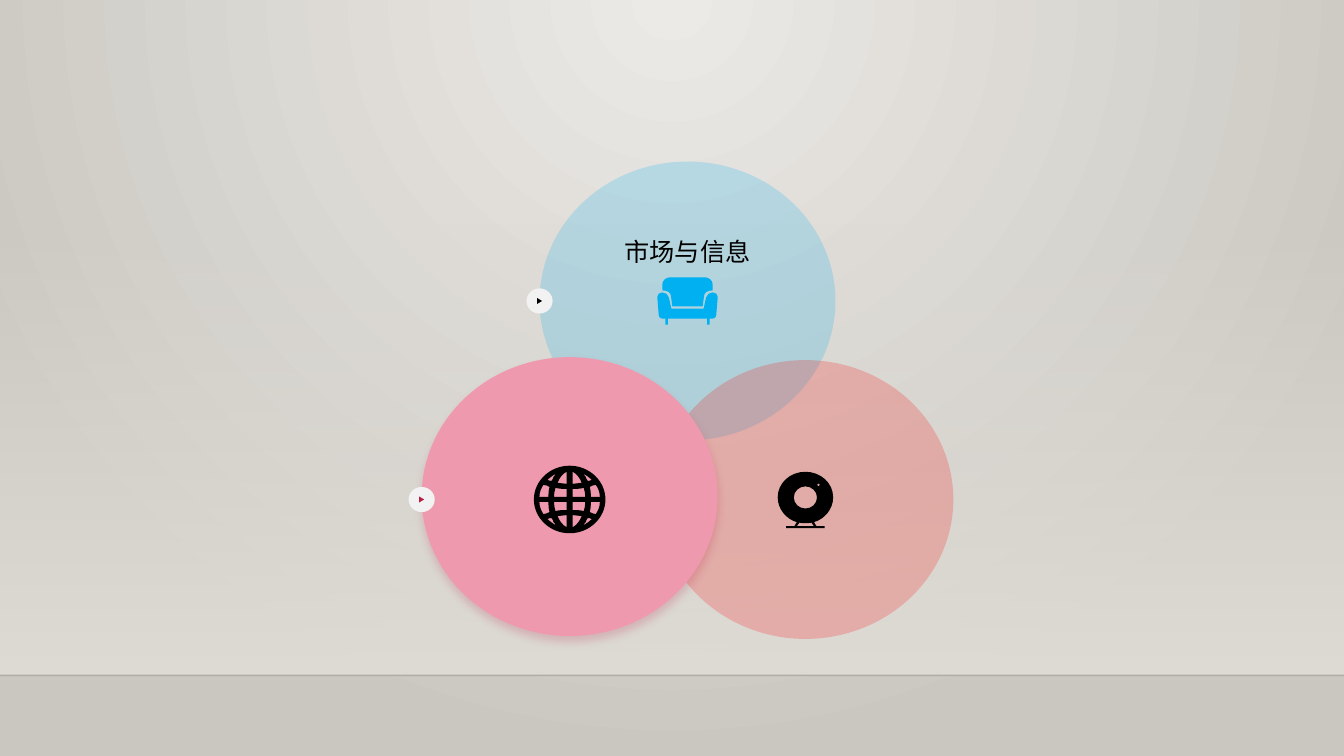
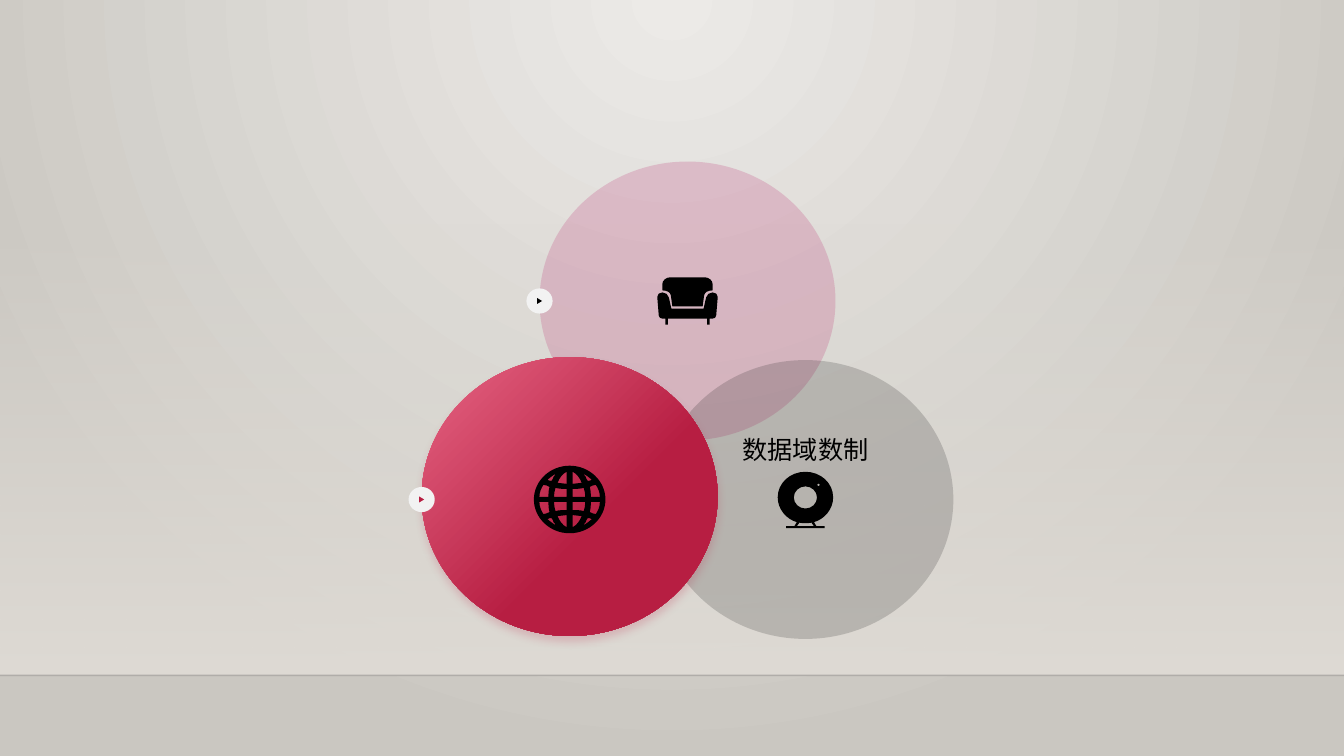
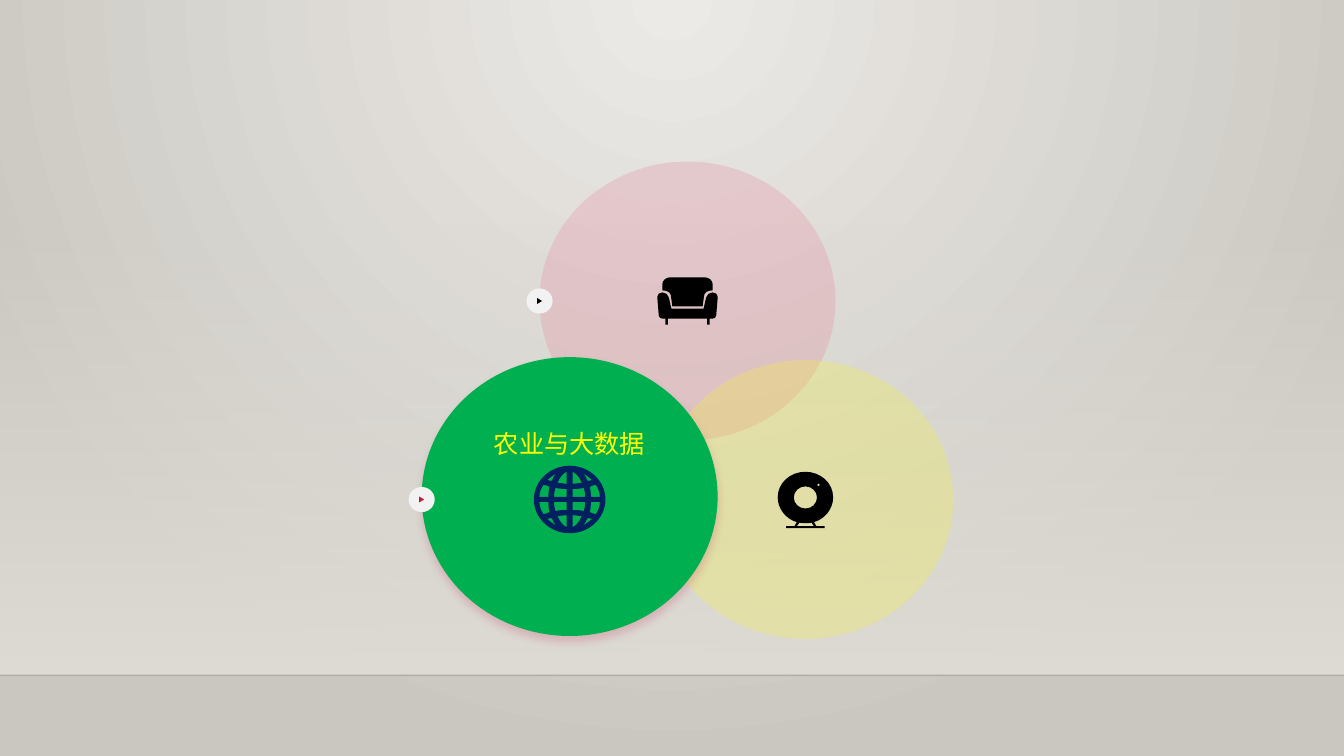
from dataclasses import dataclass

from pptx import Presentation
from pptx.dml.color import RGBColor
from pptx.enum.shapes import MSO_CONNECTOR as Connector, MSO_SHAPE as Preset
from pptx.enum.text import MSO_AUTO_SIZE as AutoSize, PP_ALIGN as Align
from pptx.oxml import parse_xml
from pptx.oxml.ns import nsdecls
from pptx.util import Pt


@dataclass(frozen=True)
class Theme:
    font: str = "Lato"
    label_size: float = 18
    glow: str = "ECEAE7"
    wall: str = "CAC7C1"
    floor: str = "DFDBD5"
    edge: str = "000001"
    ink: str = "000000"
    crimson: str = "B71E42"
    rose: str = "E66684"
    pale_rose: str = "EE99AD"
    magenta: str = "BA2169"
    red: str = "FF0000"
    sky: str = "00B0F0"
    charcoal: str = "262626"
    yellow: str = "FFFF00"
    green: str = "00B050"
    navy: str = "002060"
    marker: str = "F2F2F2"
    veil: int = 20  # opacity in percent


@dataclass(frozen=True)
class Circle:
    fill: object  # a colour, or the stops of a gradient
    icon: str = Theme.ink


@dataclass(frozen=True)
class Label:
    text: str
    over: str
    lift: float  # from circle centre up to the top of the label
    width: float
    color: str = Theme.ink


THEME = Theme()
SLIDE_W, SLIDE_H = 960, 540
HORIZON, FLOOR_TOP = 482.4, 159.1

# Diagram box and circle positions inside it
VENN_LEFT, VENN_TOP = 301.2, 115.4
CIRCLE_W, CIRCLE_H = 211.4, 199.2
ROW_STEP, RAISE = 141.8, 2.1
HOMES = {"top": (84.2, 0), "right": (168.4, ROW_STEP), "left": (0, ROW_STEP)}
MARKER_W, MARKER_H = 18.7, 18
ARROW_W, ARROW_H = 4.3, 3.6
LABEL_H = 29

# Icons are drawn on a grid of this pitch, around their centre
ICON_PITCH = 0.72
SUBSTEPS = 10
ROUND = 0.55  # handle length of a quarter ellipse


# ---- Fills and effects ----
def gradient_xml(stops, direction):
    marks = "".join(
        f'<a:gs pos="{at * 1000}"><a:srgbClr val="{color}">'
        f'<a:alpha val="{alpha * 1000}"/></a:srgbClr></a:gs>'
        for at, color, alpha in stops)
    return parse_xml(f'<a:gradFill {nsdecls("a")} rotWithShape="1">'
                     f'<a:gsLst>{marks}</a:gsLst>{direction}</a:gradFill>')


def fill_gradient(fill, owner, stops, direction):
    fill.gradient()
    plain = owner.xpath(".//a:gradFill")[0]
    plain.getparent().replace(plain, gradient_xml(stops, direction))


def linear(angle):
    return f'<a:lin ang="{angle * 60000}" scaled="0"/>'


def set_alpha(color_owner, percent):
    color_owner.xpath(".//a:srgbClr")[0].append(
        parse_xml(f'<a:alpha {nsdecls("a")} val="{percent * 1000}"/>'))


def paint(shape, fill):
    shape.shadow.inherit = False
    shape.line.fill.background()
    if isinstance(fill, str):
        shape.fill.solid()
        shape.fill.fore_color.rgb = RGBColor.from_string(fill)
    else:
        fill_gradient(shape.fill, shape.element, fill, linear(45))


def cast_shadow(shape):
    effects = shape.element.xpath("./p:spPr/a:effectLst")[0]
    effects.append(parse_xml(
        f'<a:outerShdw {nsdecls("a")} blurRad="{Pt(6)}" dist="{Pt(4)}" '
        f'dir="5400000" algn="t" rotWithShape="0"><a:srgbClr val="{THEME.crimson}">'
        f'<a:alpha val="{THEME.veil * 1000}"/></a:srgbClr></a:outerShdw>'))


def add_centred(shapes, preset, center, width, height, fill):
    x, y = center
    shape = shapes.add_shape(preset, Pt(x - width / 2), Pt(y - height / 2),
                             Pt(width), Pt(height))
    paint(shape, fill)
    return shape


# ---- Icon outlines: steps (x, y) are corners, six numbers are a Bezier curve ----
def flip(steps, sx, sy=1):
    return [tuple(v * (sy if i % 2 else sx) for i, v in enumerate(step)) for step in steps]


def backwards(steps):
    """The same outline walked from its end, without the end point itself."""
    walk = []
    for before, step in zip(steps[-2::-1], steps[:0:-1]):
        handles = (*step[2:4], *step[:2]) if len(step) == 6 else ()
        walk.append((*handles, *before[-2:]))
    return walk


def symmetric(half):
    """Close a right half, which starts and ends on the axis, with its mirror."""
    return half + backwards(flip(half, -1))


def oval(x, y, rx, ry):
    kx, ky = rx * ROUND, ry * ROUND
    return [(x, y - ry),
            (x + kx, y - ry, x + rx, y - ky, x + rx, y),
            (x + rx, y + ky, x + kx, y + ry, x, y + ry),
            (x - kx, y + ry, x - rx, y + ky, x - rx, y),
            (x - rx, y - ky, x - kx, y - ry, x, y - ry)]


def sofa_outline():
    seat = [(0, 7.5), (16, 7.5), (18.5, -3.5), (19, -6.5, 22, -8.5, 25, -8.5),
            (28, -8.5, 30, -6.5, 30, -4), (28.5, 14.5), (28, 16.5, 27, 17.5, 25, 17.5),
            (22, 17.5), (22, 23.5), (19.5, 23.5), (19.5, 17.5), (0, 17.5)]
    back = [(0, -23.5), (17, -23.5), (21, -23.5, 25, -20.5, 25, -16.5), (25, -10.5),
            (20, -10.5, 17, -8.5, 16.5, -5.5), (15, 5.5), (0, 5.5)]
    return [symmetric(seat), symmetric(back)]


def webcam_outline():
    body = [(0, -27.5), (15, -27.5, 27.5, -16.5, 27.5, -2), (27.5, 9.5, 19, 19.5, 8.5, 22.5),
            (11, 26.5), (19, 26.5), (19, 28.5), (0, 28.5)]
    stand_gap = [(0, 23.5), (2, 23.5, 4, 23.5, 6, 23), (8.5, 26.5), (0, 26.5)]
    return [symmetric(body), symmetric(stand_gap),
            oval(0, -2, 11.5, 11), oval(13, -14.5, 1.5, 1.5)]


def globe_outline():
    # Windows of one quarter, mirrored into the other three
    windows = [
        [(14, 25.5), (14, 24.5, 15, 23.5, 16, 22.5), (16, 21.5, 17, 19.5, 18, 18.5),
         (19, 18.5, 21, 18.5, 22, 19.5), (20, 21.5, 17, 23.5, 14, 25.5)],
        [(26, 14.5), (24, 14.5, 22, 13.5, 20, 12.5), (21, 9.5, 21, 6.5, 21, 2.5),
         (30, 2.5), (30, 7.5, 28, 11.5, 26, 14.5)],
        [(3, 2.5), (15.5, 2.5), (15.5, 5.5, 15, 8.5, 14, 11.5), (10, 10.5, 7, 10.5, 3, 10.5)],
        [(3, 15.5), (6, 15.5, 9, 16.5, 12, 16.5), (10, 21.5, 7, 25.5, 3, 27.5)],
    ]
    return [oval(0, 0, 35.5, 33.5)] + [flip(window, sx, sy) for window in windows
                                      for sx in (1, -1) for sy in (1, -1)]


def curve_xml(step, shift_x, shift_y):
    points = "".join(f'<a:pt x="{round(x * SUBSTEPS - shift_x)}" '
                     f'y="{round(y * SUBSTEPS - shift_y)}"/>'
                     for x, y in zip(step[::2], step[1::2]))
    return parse_xml(f'<a:cubicBezTo {nsdecls("a")}>{points}</a:cubicBezTo>')


def add_icon(shapes, contours, center, color):
    builder = None
    for contour in contours:
        (x, y), *ends = [(step[-2] * SUBSTEPS, step[-1] * SUBSTEPS) for step in contour]
        if builder is None:
            builder = shapes.build_freeform(round(x), round(y), Pt(ICON_PITCH) / SUBSTEPS)
        else:
            builder.move_to(x, y)
        builder.add_line_segments(ends, close=True)
    icon = builder.convert_to_shape(Pt(center[0]), Pt(center[1]))

    # Bend the straight segments that are curves
    steps = [step for contour in contours for step in contour[1:]]
    for segment, step in zip(icon.element.xpath(".//a:lnTo"), steps):
        if len(step) == 6:
            segment.getparent().replace(
                segment, curve_xml(step, builder.shape_offset_x, builder.shape_offset_y))
    paint(icon, color)


# ---- Regions ----
def dress_master(master, slide):
    """Room backdrop, moved from the slide to the master so that all slides share it."""
    fill_gradient(master.background.fill, master.element.xpath("./p:cSld/p:bg")[0],
                  [(0, THEME.glow, 100), (100, THEME.wall, 100)],
                  '<a:path path="circle"><a:fillToRect l="43000" r="43000" b="100000"/></a:path>')

    haze = slide.shapes.add_shape(Preset.RECTANGLE, 0, Pt(FLOOR_TOP), Pt(SLIDE_W),
                                  Pt(HORIZON - FLOOR_TOP))
    paint(haze, THEME.floor)
    fill_gradient(haze.fill, haze.element,
                  [(0, THEME.floor, 0), (100, THEME.floor, 100)], linear(90))

    horizon = slide.shapes.add_connector(Connector.STRAIGHT, 0, Pt(HORIZON),
                                         Pt(SLIDE_W), Pt(HORIZON))
    horizon.line.width = Pt(1)
    horizon.line.color.rgb = RGBColor.from_string(THEME.edge)
    props = horizon.element.xpath("./p:spPr")[0]
    set_alpha(props, THEME.veil)
    props.append(parse_xml(f'<a:effectLst {nsdecls("a")}/>'))

    tree = master.element.xpath("./p:cSld/p:spTree")[0]
    for part in (haze.element, horizon.element):
        next_id = max(int(i) for i in tree.xpath(".//p:cNvPr/@id")) + 1
        part.xpath(".//p:cNvPr")[0].set("id", str(next_id))
        tree.append(part)


def circle_center(name, left, top):
    dx, dy = HOMES[name]
    return left + dx + CIRCLE_W / 2, top + dy + CIRCLE_H / 2


def add_marker(shapes, center, color):
    add_centred(shapes, Preset.OVAL, center, MARKER_W, MARKER_H, THEME.marker)
    arrow = add_centred(shapes, Preset.ISOSCELES_TRIANGLE, center, ARROW_W, ARROW_H, color)
    arrow.rotation = 90


def add_venn(slide, circles, left, top):
    shapes = slide.shapes.add_group_shape().shapes
    centers = {name: circle_center(name, left, top) for name in HOMES}

    # Two veiled circles behind, one solid circle raised in front
    for name in ("top", "right"):
        veiled = add_centred(shapes, Preset.OVAL, centers[name], CIRCLE_W, CIRCLE_H,
                             circles[name].fill)
        set_alpha(veiled.element.xpath("./p:spPr")[0], THEME.veil)
    x, y = centers["left"]
    cast_shadow(add_centred(shapes, Preset.OVAL, (x, y - RAISE), CIRCLE_W, CIRCLE_H,
                            circles["left"].fill))

    # Webcam, markers on the left rims, then the other icons
    add_icon(shapes, webcam_outline(), centers["right"], circles["right"].icon)
    for name, color in (("left", THEME.crimson), ("top", THEME.ink)):
        x, y = centers[name]
        add_marker(shapes, (x - CIRCLE_W / 2, y), color)
    for name, contours in (("top", sofa_outline()), ("left", globe_outline())):
        add_icon(shapes, contours, centers[name], circles[name].icon)


def add_label(slide, label, left, top):
    x, y = circle_center(label.over, left, top)
    box = slide.shapes.add_textbox(Pt(x - label.width / 2), Pt(y - label.lift),
                                   Pt(label.width), Pt(LABEL_H))
    frame = box.text_frame
    frame.word_wrap = True
    frame.auto_size = AutoSize.SHAPE_TO_FIT_TEXT
    paragraph = frame.paragraphs[0]
    paragraph.alignment = Align.CENTER
    run = paragraph.add_run()
    run.text = label.text
    run.font.name = THEME.font
    run.font.size = Pt(THEME.label_size)
    run.font.color.rgb = RGBColor.from_string(label.color)


# ---- Content ----
TOPICS = [
    (Label("市场与信息", "top", 49.8, 135.4),
     {"top": Circle(THEME.sky, THEME.sky),
      "right": Circle(THEME.red),
      "left": Circle(THEME.pale_rose)}),
    (Label("数据域数制", "right", 50, 169.2),
     {"top": Circle(THEME.magenta),
      "right": Circle(THEME.charcoal),
      "left": Circle([(0, THEME.rose, 100), (60, THEME.crimson, 100)])}),
    (Label("农业与大数据", "left", 54.4, 154.1, THEME.yellow),
     {"top": Circle(THEME.rose),
      "right": Circle(THEME.yellow),
      "left": Circle(THEME.green, THEME.navy)}),
]


def main():
    deck = Presentation()
    deck.slide_width, deck.slide_height = Pt(SLIDE_W), Pt(SLIDE_H)
    blank = deck.slide_layouts[6]
    for number, (label, circles) in enumerate(TOPICS):
        slide = deck.slides.add_slide(blank)
        if number == 0:
            dress_master(deck.slide_master, slide)
        add_venn(slide, circles, VENN_LEFT, VENN_TOP)
        add_label(slide, label, VENN_LEFT, VENN_TOP)
    deck.save("out.pptx")


if __name__ == "__main__":
    main()
